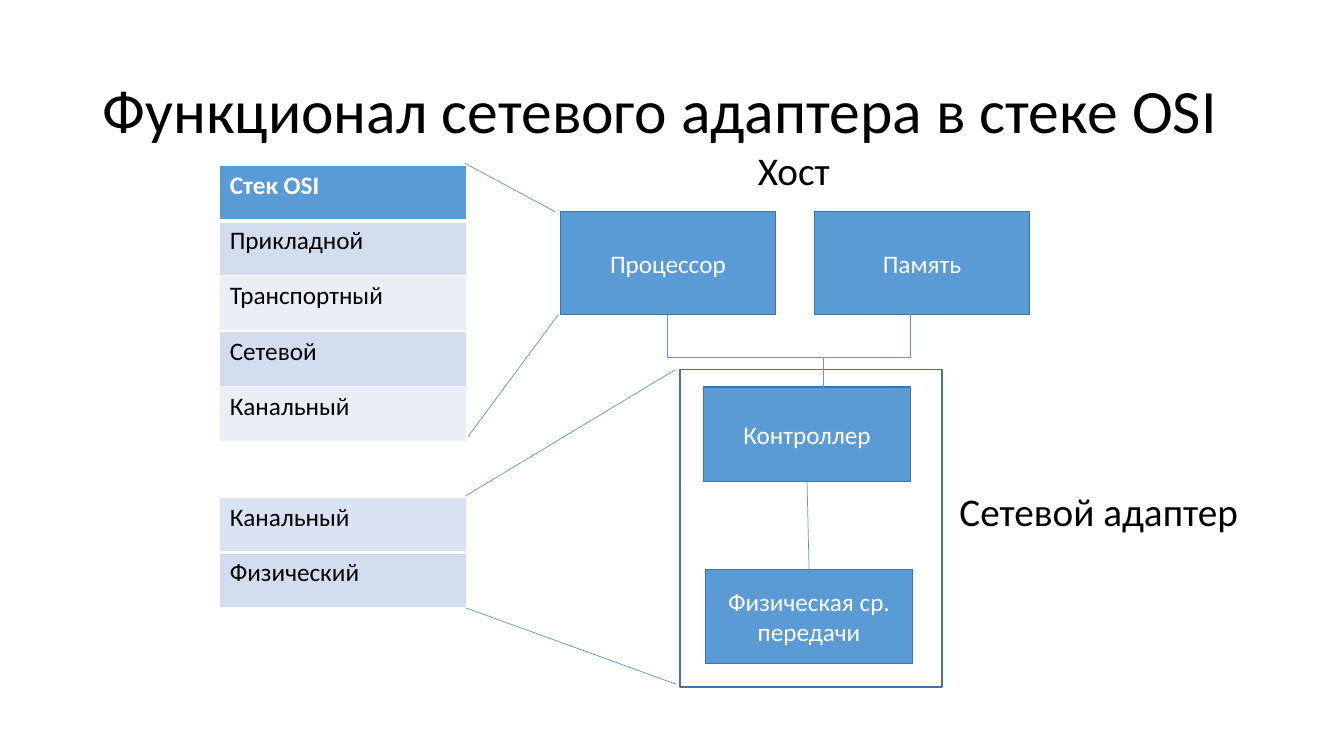
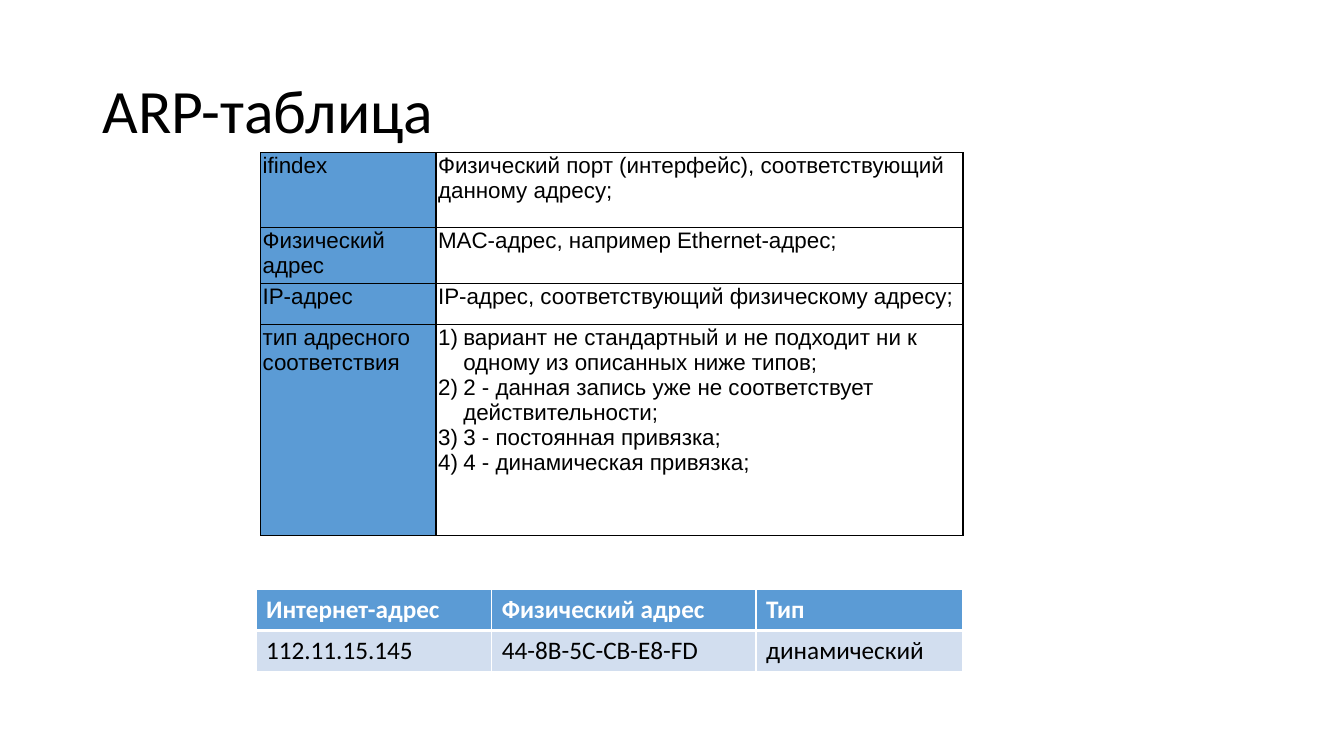
from lxml.etree import SubElement
from pptx import Presentation
from pptx.dml.color import RGBColor
from pptx.enum.shapes import MSO_CONNECTOR, MSO_SHAPE
from pptx.enum.text import MSO_ANCHOR, PP_ALIGN
from pptx.oxml.ns import qn
from pptx.util import Inches, Pt

BLACK = RGBColor(0x00, 0x00, 0x00)
WHITE = RGBColor(0xFF, 0xFF, 0xFF)
BLUE = RGBColor(0x5B, 0x9B, 0xD5)
DARK_BLUE = RGBColor(0x43, 0x73, 0x9E)
BAND = RGBColor(0xD2, 0xDE, 0xEF)
PALE_BAND = RGBColor(0xEA, 0xEF, 0xF7)
LAVENDER = RGBColor(0xDA, 0xE3, 0xF3)

prs = Presentation()
prs.slide_width, prs.slide_height = Inches(13.33), Inches(7.5)


def at(*shares):
    """Turn alternating x and y percentages of the slide into lengths."""
    sides = (prs.slide_width, prs.slide_height)
    return [round(v * sides[i % 2] / 100) for i, v in enumerate(shares)]


def write(tf, text, size=18, color=BLACK, font="Calibri", bold=False,
          align=PP_ALIGN.LEFT, spacing=1.0):
    """Fill a text frame; several lines become a numbered list."""
    lines = text.split("\n")
    for i, line in enumerate(lines):
        p = tf.paragraphs[0] if i == 0 else tf.add_paragraph()
        p.alignment, p.line_spacing = align, spacing
        if len(lines) > 1:
            pPr = p._p.get_or_add_pPr()
            pPr.set("marL", str(Inches(0.25)))
            pPr.set("indent", str(-Inches(0.25)))
            SubElement(pPr, qn("a:buAutoNum"), type="arabicParenR")
        r = p.add_run()
        r.text = line
        r.font.size, r.font.name, r.font.bold = Pt(size), font, bold
        r.font.color.rgb = color


# Slides and titles
slides = []
for title in ("Функционал сетевого адаптера в стеке OSI", "ARP-таблица"):
    s = prs.slides.add_slide(prs.slide_layouts[6])
    tf = s.shapes.add_textbox(*at(6.9, 5.3, 86.25, 19.3)).text_frame
    tf.word_wrap = True
    tf.vertical_anchor = MSO_ANCHOR.MIDDLE
    write(tf, title, size=44, spacing=0.9)
    slides.append(s)
stack, arp = slides

# Host and adapter blocks
blocks = {}
for name, box in (
    ("", (50.6, 48.9, 19.5, 42)),
    ("Процессор", (41.7, 28, 16, 13.6)),
    ("Память", (60.6, 28, 16, 13.6)),
    ("Контроллер", (52.35, 51.2, 15.4, 12.5)),
    ("Физическая ср. передачи", (52.5, 75.3, 15.4, 12.5)),
):
    sp = stack.shapes.add_shape(MSO_SHAPE.FLOWCHART_PROCESS, *at(*box))
    sp.shadow.inherit = False
    sp.line.color.rgb, sp.line.width = DARK_BLUE, Pt(1)
    if name:
        sp.fill.solid()
        sp.fill.fore_color.rgb = BLUE
        sp.text_frame.word_wrap = True
        sp.text_frame.vertical_anchor = MSO_ANCHOR.MIDDLE
        write(sp.text_frame, name, color=WHITE, align=PP_ALIGN.CENTER)
    else:
        sp.fill.background()
    blocks[name] = sp

for label, box in (("Хост", (55.65, 18.7, 9, 7.6)),
                   ("Сетевой адаптер", (70.65, 63.8, 24, 7.6))):
    tf = stack.shapes.add_textbox(*at(*box)).text_frame
    tf.word_wrap = True
    write(tf, label, size=28)

# Connectors: preset, quarter turns, begin and end
for preset, turns, ends in (
    ("line", 0, (34.65, 65.6, 50.25, 48.9)),
    ("line", 0, (34.65, 80.4, 50.3, 90.5)),
    ("line", 0, (34.6, 21.6, 41.3, 28)),
    ("line", 0, (34.6, 58.3, 41.55, 41.6)),
    ("line", 0, (60, 63.7, 60.2, 75.3)),
    ("bentConnector2", 3, (57, 34.2, 53.85, 54.73)),
    ("bentConnector3", 1, (60.75, 41.47, 68.25, 53.07)),
):
    kind = MSO_CONNECTOR.ELBOW if turns else MSO_CONNECTOR.STRAIGHT
    c = stack.shapes.add_connector(kind, *at(*ends))
    c.line.color.rgb, c.line.width = BLUE, Pt(0.5)
    spPr = c._element.spPr
    SubElement(spPr, qn("a:effectLst"))
    if turns:
        spPr.find(qn("a:prstGeom")).set("prst", preset)
        spPr.find(qn("a:xfrm")).set("rot", str(turns * 90 * 60000))
    elif ends[0] == 60:
        c.begin_connect(blocks["Контроллер"], 2)
        c.end_connect(blocks["Физическая ср. передачи"], 0)

# Tables: slide, corner, columns, rows, edge, has heading, format, cells, fills
TYPES = "\n".join((
    "вариант не стандартный и не подходит ни к одному из описанных ниже типов;",
    "2 - данная запись уже не соответствует действительности;",
    "3 - постоянная привязка;",
    "4 - динамическая привязка;",
))
for s, corner, cols, rows, edge, headed, fmt, cells, fills in (
    (stack, (16.35, 21.9), [18.4], [7.3] * 5, WHITE, True, {},
     [["Стек OSI"], ["Прикладной"], ["Транспортный"], ["Сетевой"], ["Канальный"]],
     [[BLUE], [BAND], [PALE_BAND], [BAND], [PALE_BAND]]),
    (stack, (16.35, 65.8), [18.4], [7.3] * 2, WHITE, False, {},
     [["Канальный"], ["Физический"]],
     [[LAVENDER], [BAND]]),
    (arp, (19.4, 20.2), [13.05, 39.2], [9.9, 5.5, 5.5, 27.9], BLACK, False,
     {"size": 16, "font": "Arial"},
     [["ifindex", "Физический порт (интерфейс), соответствующий данному адресу;"],
      ["Физический адрес", "MAC-адрес, например Ethernet-адрес;"],
      ["IP-адрес", "IP-адрес, соответствующий физическому адресу;"],
      ["тип адресного соответствия", TYPES]],
     [[BLUE, None]] * 4),
    (arp, (19.05, 78), [17.55, 19.65, 15.4], [5.4] * 2, WHITE, True, {},
     [["Интернет-адрес", "Физический адрес", "Тип"],
      ["112.11.15.145", "44-8B-5C-CB-E8-FD", "динамический"]],
     [[BLUE] * 3, [BAND] * 3]),
):
    tbl = s.shapes.add_table(len(rows), len(cols),
                             *at(*corner, sum(cols), sum(rows))).table
    tbl.first_row = tbl.horz_banding = False
    for col, share in zip(tbl.columns, cols):
        col.width = at(share)[0]
    for i, share in enumerate(rows):
        tbl.rows[i].height = at(0, share)[1]
        for j, text in enumerate(cells[i]):
            cell = tbl.cell(i, j)
            heading = headed and i == 0
            write(cell.text_frame, text, bold=heading,
                  color=WHITE if heading else BLACK, **fmt)
            if edge == BLACK:
                cell.margin_left = cell.margin_right = Inches(0.02)
                cell.margin_top = cell.margin_bottom = Inches(0.01)
            tcPr = cell._tc.get_or_add_tcPr()
            for side in "LRTB":
                thick = edge == WHITE and (i, side) in ((0, "B"), (1, "T"))
                ln = SubElement(tcPr, qn("a:ln" + side), w=str(Pt(3 if thick else 1)))
                fill = SubElement(ln, qn("a:solidFill"))
                SubElement(fill, qn("a:srgbClr"), val=str(edge))
            if fills[i][j] is None:
                cell.fill.background()
            else:
                cell.fill.solid()
                cell.fill.fore_color.rgb = fills[i][j]

prs.save("out.pptx")
